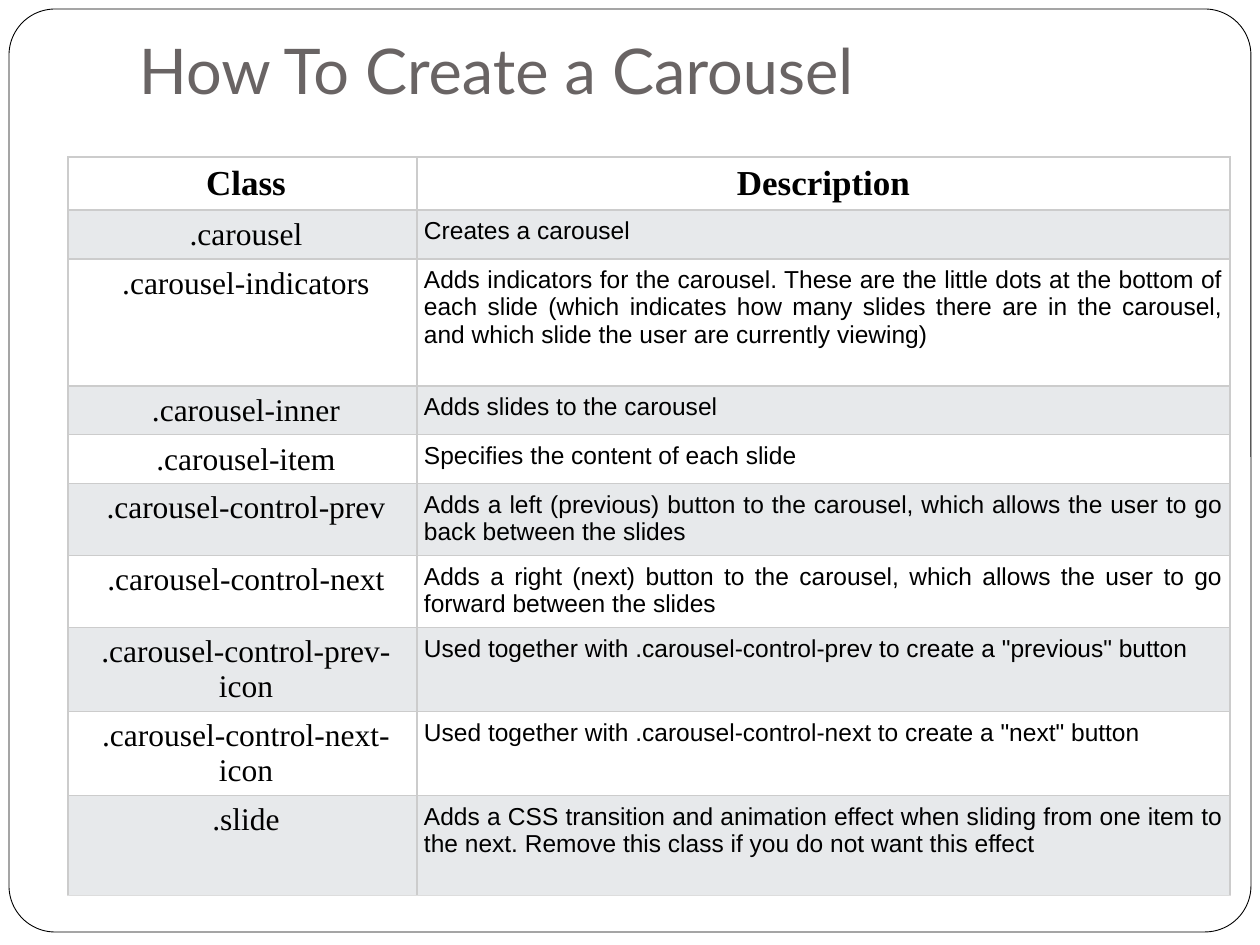
from copy import deepcopy
from dataclasses import dataclass

from lxml import etree
from pptx import Presentation, util as u
from pptx.dml.color import RGBColor
from pptx.enum import shapes, text
from pptx.oxml.ns import qn

PX_PER_INCH = 126


def px(n):
    return u.Emu(round(n * 914400 / PX_PER_INCH))


@dataclass(frozen=True)
class Theme:
    white: str = "FFFFFF"
    black: str = "000000"
    title: str = "696464"
    band: str = "E7E9EB"
    rule: str = "CCCCCC"
    last_rule: str = "DDDDDD"
    title_font: str = "Lato"
    class_font: str = "Times New Roman"
    body_font: str = "Arial"
    title_size: int = 36
    head_size: int = 20
    class_size: int = 18
    body_size: int = 14
    rule_width: float = 0.75
    frame_width: float = 0.5


class Deck:
    def __init__(self, theme, width, height):
        self.theme = theme
        self.prs = Presentation()
        self.prs.slide_width, self.prs.slide_height = px(width), px(height)
        self.slide = self.prs.slides.add_slide(self.prs.slide_layouts[6])

    def run(self, p, words, font, size, color, bold=False):
        r = p.add_run()
        r.text = words
        r.font.name, r.font.size, r.font.bold = font, u.Pt(size), bold
        r.font.color.rgb = RGBColor.from_string(color)
        return r

    def insets(self, box, left, top, right, bottom):
        box.margin_left, box.margin_top = px(left), px(top)
        box.margin_right, box.margin_bottom = px(right), px(bottom)

    def frame(self, x, y, w, h, radius):
        t = self.theme
        sp = self.slide.shapes.add_shape(
            shapes.MSO_SHAPE.ROUNDED_RECTANGLE, px(x), px(y), px(w), px(h))
        sp.adjustments[0] = radius
        sp.shadow.inherit = False
        sp.fill.solid()
        sp.fill.fore_color.rgb = RGBColor.from_string(t.white)
        sp.line.color.rgb = RGBColor.from_string(t.black)
        sp.line.width = u.Pt(t.frame_width)

    def title(self, words, x, y, w, h):
        t = self.theme
        tf = self.slide.shapes.add_textbox(px(x), px(y), px(w), px(h)).text_frame
        tf.word_wrap = True
        tf.vertical_anchor = text.MSO_ANCHOR.BOTTOM
        self.insets(tf, 13, 6, 13, 12)
        p = tf.paragraphs[0]
        r = self.run(p, words, t.title_font, t.title_size, t.title)
        # The title ends in a line break of its own type size
        p.add_line_break()
        p._p.find(qn("a:br")).append(deepcopy(r._r.rPr))

    def borders(self, cell, bottom):
        t = self.theme
        tc_pr = cell._tc.get_or_add_tcPr()
        sides = {"lnL": t.rule, "lnR": t.rule, "lnT": t.rule, "lnB": bottom}
        for i, (side, color) in enumerate(sides.items()):
            ln = etree.Element(qn(f"a:{side}"), w=str(u.Pt(t.rule_width)))
            fill = etree.SubElement(ln, qn("a:solidFill"))
            etree.SubElement(fill, qn("a:srgbClr"), val=color)
            tc_pr.insert(i, ln)

    def table(self, rows, x, y, widths, heights):
        t = self.theme
        tbl = self.slide.shapes.add_table(
            len(rows), len(widths), px(x), px(y),
            px(sum(widths)), px(sum(heights))).table
        for col, width in zip(tbl.columns, widths):
            col.width = px(width)
        for i, (row, height) in enumerate(zip(rows, heights)):
            tbl.rows[i].height = px(height)
            for j, words in enumerate(row):
                cell = tbl.cell(i, j)
                # A thin bottom inset lets the row heights hold
                self.insets(cell, 7 if j else 14, 7, 7, 1)
                cell.fill.solid()
                cell.fill.fore_color.rgb = RGBColor.from_string(
                    t.band if i % 2 else t.white)
                self.borders(cell, t.last_rule if i == len(rows) - 1 else t.rule)
                p = cell.text_frame.paragraphs[0]
                p.alignment = text.PP_ALIGN.CENTER
                if i == 0:
                    self.run(p, words, t.class_font, t.head_size, t.black, True)
                elif j == 0:
                    self.run(p, words, t.class_font, t.class_size, t.black)
                else:
                    p.alignment = text.PP_ALIGN.JUSTIFY
                    self.run(p, words, t.body_font, t.body_size, t.black)


ROWS = [
    ("Class", "Description"),
    (".carousel", "Creates a carousel"),
    (".carousel-indicators",
     "Adds indicators for the carousel. These are the little dots at the bottom "
     "of each slide (which indicates how many slides there are in the carousel, "
     "and which slide the user are currently viewing)"),
    (".carousel-inner", "Adds slides to the carousel"),
    (".carousel-item", "Specifies the content of each slide"),
    (".carousel-control-prev",
     "Adds a left (previous) button to the carousel, which allows the user to "
     "go back between the slides"),
    (".carousel-control-next",
     "Adds a right (next) button to the carousel, which allows the user to go "
     "forward between the slides"),
    (".carousel-control-prev-icon",
     'Used together with .carousel-control-prev to create a "previous" button'),
    (".carousel-control-next-icon",
     'Used together with .carousel-control-next to create a "next" button'),
    (".slide",
     "Adds a CSS transition and animation effect when sliding from one item to "
     "the next. Remove this class if you do not want this effect"),
]


def main():
    deck = Deck(Theme(), 1260, 945)
    # Page frame and heading
    deck.frame(9, 9, 1242, 923, 0.05)
    deck.title("How To Create a Carousel", 126, 38, 1071, 157)
    # Class reference
    head, single, double, wrapped = 53, 49, 72, 84
    heights = [head, single, 127, single, single,
               double, double, wrapped, wrapped, 100]
    deck.table(ROWS, 68, 157, [349, 813], heights)
    deck.prs.save("out.pptx")


if __name__ == "__main__":
    main()
